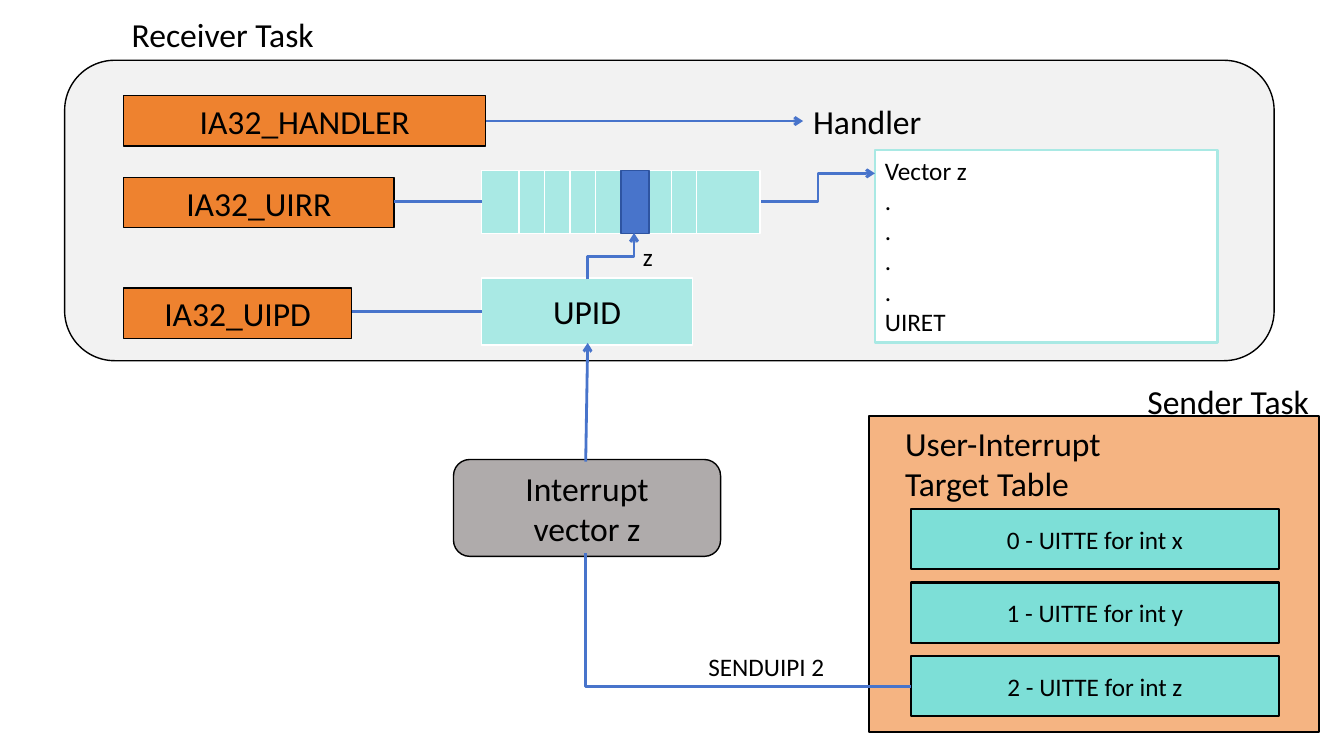
from lxml.etree import SubElement
from pptx import Presentation
from pptx.dml.color import RGBColor
from pptx.enum.shapes import MSO_CONNECTOR, MSO_SHAPE
from pptx.enum.text import MSO_ANCHOR, PP_ALIGN
from pptx.oxml.ns import qn
from pptx.util import Cm, Pt

FONT = "Calibri"
COLORS = {
    "black": "000000",
    "white": "FFFFFF",
    "panel": "F2F2F2",
    "register": "EE822F",
    "memory": "A9E9E4",
    "selected": "4874CB",
    "selected_edge": "2E54A1",
    "interrupt": "AFABAB",
    "sender": "F5B482",
    "entry": "7DDFD7",
}


def color(name):
    return RGBColor.from_string(COLORS[name])


def write_text(shape, text, size=24, align=PP_ALIGN.CENTER, anchor=MSO_ANCHOR.MIDDLE):
    """Fill a shape with one paragraph per line of text."""
    frame = shape.text_frame
    frame.word_wrap = True
    frame.vertical_anchor = anchor
    frame.text = text
    for paragraph in frame.paragraphs:
        paragraph.alignment = align
        paragraph.font.name = FONT
        paragraph.font.size = Pt(size)
        paragraph.font.color.rgb = color("black")


def add_box(slide, left, top, width, height, fill, text="", line="black",
            line_width=1, rounded=False, **text_format):
    kind = (MSO_SHAPE.FLOWCHART_ALTERNATE_PROCESS if rounded
            else MSO_SHAPE.FLOWCHART_PROCESS)
    shape = slide.shapes.add_shape(kind, Cm(left), Cm(top), Cm(width), Cm(height))
    shape.shadow.inherit = False
    shape.fill.solid()
    shape.fill.fore_color.rgb = color(fill)
    shape.line.color.rgb = color(line)
    shape.line.width = Pt(line_width)
    if text:
        write_text(shape, text, **text_format)


def add_label(slide, left, top, width, height, text, align=PP_ALIGN.LEFT, **text_format):
    label = slide.shapes.add_textbox(Cm(left), Cm(top), Cm(width), Cm(height))
    write_text(label, text, align=align, **text_format)


def add_line(slide, start, end, line="selected", width=2, arrow=False,
             bent=False, rotation=0, preset=None):
    """Join two points; rotation (degrees) and preset change an elbow's route."""
    kind = MSO_CONNECTOR.ELBOW if bent else MSO_CONNECTOR.STRAIGHT
    points = [Cm(value) for value in (*start, *end)]
    connector = slide.shapes.add_connector(kind, *points)
    connector.line.color.rgb = color(line)
    connector.line.width = Pt(width)
    properties = connector.element.spPr
    if arrow:
        SubElement(properties.find(qn("a:ln")), qn("a:tailEnd"), type="arrow")
    SubElement(properties, qn("a:effectLst"))
    if rotation:
        properties.find(qn("a:xfrm")).set("rot", str(rotation * 60000))
    if preset:
        properties.find(qn("a:prstGeom")).set("prst", preset)


def add_request_bits(slide):
    left, top, height = 12.14, 4.29, 1.6
    add_box(slide, left, top, 7.01, height, "memory", line="white")
    for index in range(8):
        x = 13.08 + 0.64 * index
        add_line(slide, (x, top), (x, top + height), line="white", width=1)
    add_box(slide, 15.65, top, 0.71, height, "selected", line="selected_edge")


def add_receiver(slide):
    add_box(slide, 1.63, 1.52, 30.48, 7.57, "panel", rounded=True)
    add_label(slide, 3.07, 0.23, 11.28, 1.27, "Receiver Task")
    registers = [("IA32_HANDLER", 2.41, 9.12), ("IA32_UIRR", 4.47, 6.81),
                 ("IA32_UIPD", 7.26, 5.74)]
    for name, top, width in registers:
        add_box(slide, 3.12, top, width, 1.27, "register", name)
    add_box(slide, 12.14, 7.01, 5.31, 1.68, "memory", "UPID", line="white")
    add_request_bits(slide)
    add_label(slide, 20.24, 2.41, 8.97, 1.27, "Handler")
    add_box(slide, 22.05, 3.78, 8.64, 4.85, "white", "Vector z\n.\n.\n.\n.\nUIRET",
            line="memory", line_width=2, size=18, align=PP_ALIGN.LEFT,
            anchor=MSO_ANCHOR.TOP)
    add_label(slide, 15.95, 5.94, 1.5, 1.02, "z", size=18)
    add_line(slide, (12.24, 3.05), (20.24, 3.05), arrow=True)
    add_line(slide, (9.93, 5.08), (12.14, 5.08))
    add_line(slide, (8.86, 7.85), (12.14, 7.85))
    add_line(slide, (14.81, 5.87), (15.98, 7.04), arrow=True, bent=True, rotation=270)
    add_line(slide, (19.18, 5.08), (22.05, 4.37), arrow=True, bent=True)


def add_sender(slide):
    add_box(slide, 21.89, 10.49, 11.35, 7.95, "sender", line_width=1.5)
    add_label(slide, 27.25, 9.47, 5.99, 1.27, "Sender Task", align=PP_ALIGN.RIGHT)
    add_label(slide, 22.56, 10.52, 8.94, 2.31, "User-Interrupt\nTarget Table")
    for index, vector in enumerate("xyz"):
        add_box(slide, 22.96, 12.83 + 1.85 * index, 9.27, 1.52, "entry",
                f"{index} - UITTE for int {vector}", line_width=1.5, size=18)


def add_interrupt(slide):
    add_box(slide, 11.43, 11.58, 6.73, 2.44, "interrupt", "Interrupt\nvector z",
            rounded=True)
    add_line(slide, (14.76, 11.63), (14.81, 8.64), arrow=True)
    add_line(slide, (14.76, 13.94), (22.96, 17.3), bent=True, rotation=180,
             preset="bentConnector2")
    add_label(slide, 17.6, 16.28, 11.28, 1.02, "SENDUIPI 2", size=18)


def main():
    presentation = Presentation()
    presentation.slide_width = Cm(33.87)
    presentation.slide_height = Cm(19.05)
    slide = presentation.slides.add_slide(presentation.slide_layouts[6])
    add_receiver(slide)
    add_sender(slide)
    add_interrupt(slide)
    presentation.save("out.pptx")


if __name__ == "__main__":
    main()
